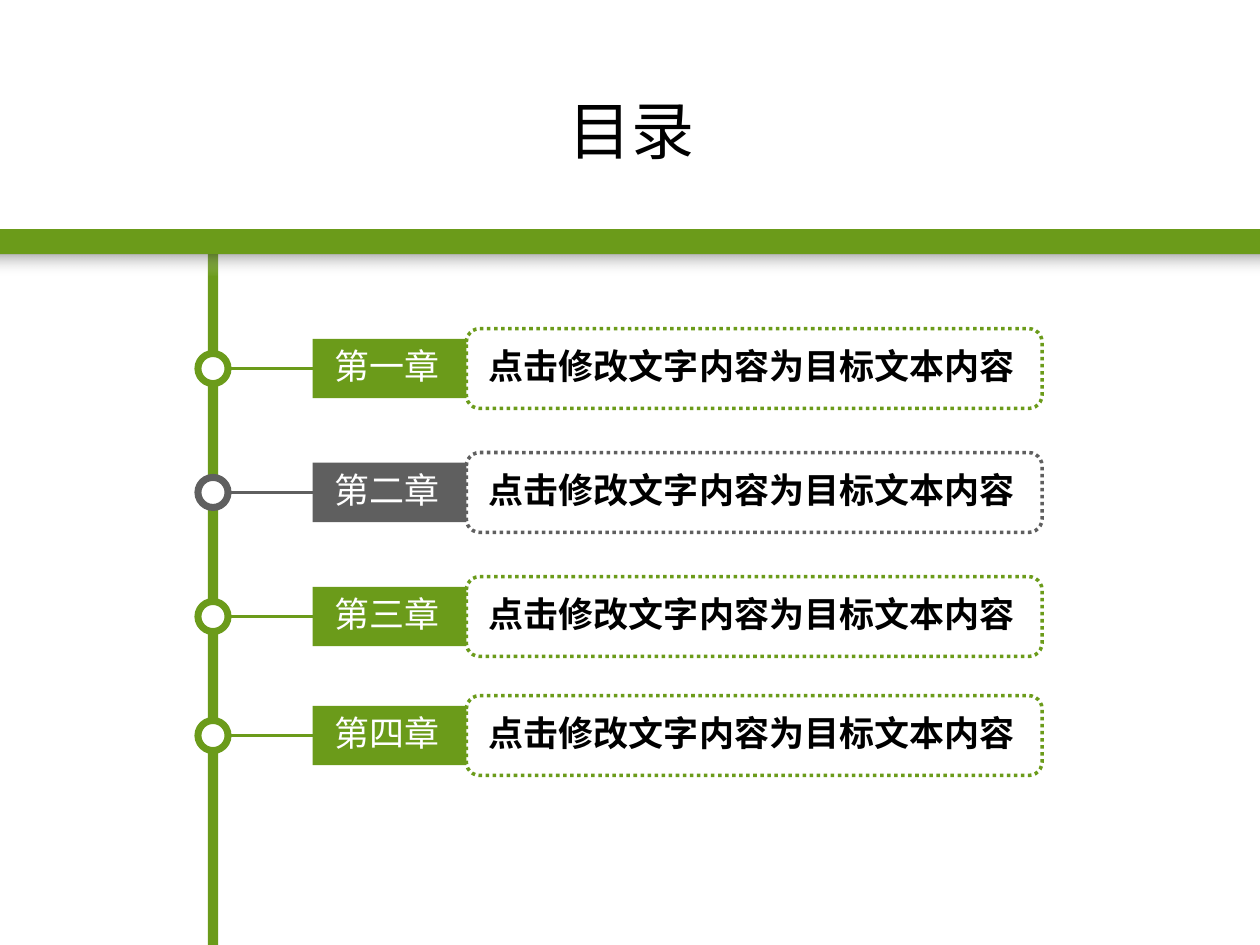
from dataclasses import dataclass

from lxml.etree import SubElement
from pptx import Presentation
from pptx.dml.color import RGBColor
from pptx.enum.dml import MSO_LINE_DASH_STYLE as Dash
from pptx.enum.shapes import MSO_CONNECTOR as Connector, MSO_SHAPE as Shape
from pptx.enum.text import MSO_ANCHOR as Anchor, MSO_AUTO_SIZE as AutoSize, PP_ALIGN as Align
from pptx.oxml.ns import qn
from pptx.util import Pt


@dataclass(frozen=True)
class Theme:
    green: str = "6B9B1A"
    gray: str = "5F5F5F"
    shade: str = "4D4D4D"
    white: str = "FFFFFF"
    black: str = "000000"
    font: str = "Arial"
    title_size: int = 36
    text_size: int = 20


THEME = Theme()
SLIDE_WIDTH, SLIDE_HEIGHT = 720, 540
BAR_TOP, BAR_BOTTOM = 131, 145.3
STEM_CENTER = 121.7
ENTRY = "点击修改文字内容为目标文本内容"

# Chapter label, colour, vertical centre, shadowed label
CHAPTERS = [
    ("第一章", THEME.green, 210.6, True),
    ("第二章", THEME.gray, 281.4, False),
    ("第三章", THEME.green, 352.3, True),
    ("第四章", THEME.green, 420.3, True),
]


def color(value):
    return RGBColor.from_string(value)


def add_block(page, kind, left, top, width, height, fill=None, line=None, weight=2):
    block = page.shapes.add_shape(kind, Pt(left), Pt(top), Pt(width), Pt(height))
    block.shadow.inherit = False
    if fill:
        block.fill.solid()
        block.fill.fore_color.rgb = color(fill)
    else:
        block.fill.background()
    if line:
        block.line.color.rgb = color(line)
        block.line.width = Pt(weight)
    else:
        block.line.fill.background()
    return block


def add_rule(page, left, right, y, line):
    rule = page.shapes.add_connector(Connector.STRAIGHT, Pt(left), Pt(y), Pt(right), Pt(y))
    rule.line.color.rgb = color(line)
    rule.line.width = Pt(2)
    SubElement(rule._element.spPr, qn("a:effectLst"))


def write(box, text, *, size, ink, bold=False, align=Align.LEFT, anchor=Anchor.TOP, shadow=False):
    frame = box.text_frame
    frame.word_wrap = False
    frame.auto_size = AutoSize.SHAPE_TO_FIT_TEXT
    frame.vertical_anchor = anchor
    para = frame.paragraphs[0]
    para.alignment = align
    span = para.add_run()
    span.text = text
    span.font.name = THEME.font
    span.font.size = Pt(size)
    span.font.bold = bold
    span.font.color.rgb = color(ink)
    if shadow:
        add_text_shadow(span)


def add_text_shadow(span):
    effects = span.font._element.makeelement(qn("a:effectLst"))
    outer = SubElement(effects, qn("a:outerShdw"), blurRad="38100", dist="38100",
                       dir="2700000", algn="tl")
    SubElement(outer, qn("a:srgbClr"), val=THEME.black)
    # Effects come straight after the fill
    span.font._element.find(qn("a:solidFill")).addnext(effects)


def add_text(page, text, left, top, width, height, **style):
    box = page.shapes.add_textbox(Pt(left), Pt(top), Pt(width), Pt(height))
    write(box, text, size=THEME.text_size, **style)


def add_title(page, text):
    title = page.shapes.title
    title.left, title.top, title.width, title.height = Pt(317.5), Pt(48.2), Pt(87.1), Pt(51)
    write(title, text, size=THEME.title_size, ink=THEME.black,
          align=Align.CENTER, anchor=Anchor.MIDDLE)


def add_bar_shadow(page):
    band = add_block(page, Shape.RECTANGLE, 0, BAR_BOTTOM, SLIDE_WIDTH, 12.2)
    band.fill.gradient()
    band.fill.gradient_angle = 270
    stops = zip(band.fill.gradient_stops, (THEME.shade, THEME.white), (40, 0))
    for stop, tone, opacity in stops:
        stop.color.rgb = color(tone)
        tone_element = stop._gs.find(qn("a:srgbClr"))
        SubElement(tone_element, qn("a:alpha"), val=str(opacity * 1000))


def add_chapter(page, label, tone, center, shadow):
    # Node on the stem and its branch
    node = 17.2
    add_block(page, Shape.OVAL, STEM_CENTER - node / 2, center - node / 2, node, node,
              fill=THEME.white, line=tone, weight=4)
    add_rule(page, 130.3, 181.4, center, tone)
    # Label plate and dotted frame
    add_block(page, Shape.RECTANGLE, 178.7, center - 17, 87.8, 34, fill=tone)
    frame = add_block(page, Shape.ROUNDED_RECTANGLE, 266.5, center - 22.8, 329, 45.6, line=tone)
    frame.adjustments[0] = 0.167
    frame.line.dash_style = Dash.ROUND_DOT
    # Texts
    top = center - 17
    add_text(page, label, 184.3, top, 74.9, 31, ink=THEME.white, shadow=shadow)
    add_text(page, ENTRY, 272.2, top, 316, 31, ink=THEME.black, bold=True)


def main():
    deck = Presentation()
    deck.slide_width, deck.slide_height = Pt(SLIDE_WIDTH), Pt(SLIDE_HEIGHT)
    page = deck.slides.add_slide(deck.slide_layouts[5])

    # Stem, heading bar and title
    add_block(page, Shape.RECTANGLE, STEM_CENTER - 2.9, BAR_BOTTOM, 5.8,
              SLIDE_HEIGHT - BAR_BOTTOM, fill=THEME.green)
    add_block(page, Shape.RECTANGLE, 0, BAR_TOP, SLIDE_WIDTH, BAR_BOTTOM - BAR_TOP,
              fill=THEME.green)
    add_title(page, "目录")
    add_bar_shadow(page)

    # Chapters
    for chapter in CHAPTERS:
        add_chapter(page, *chapter)

    deck.save("out.pptx")


if __name__ == "__main__":
    main()
